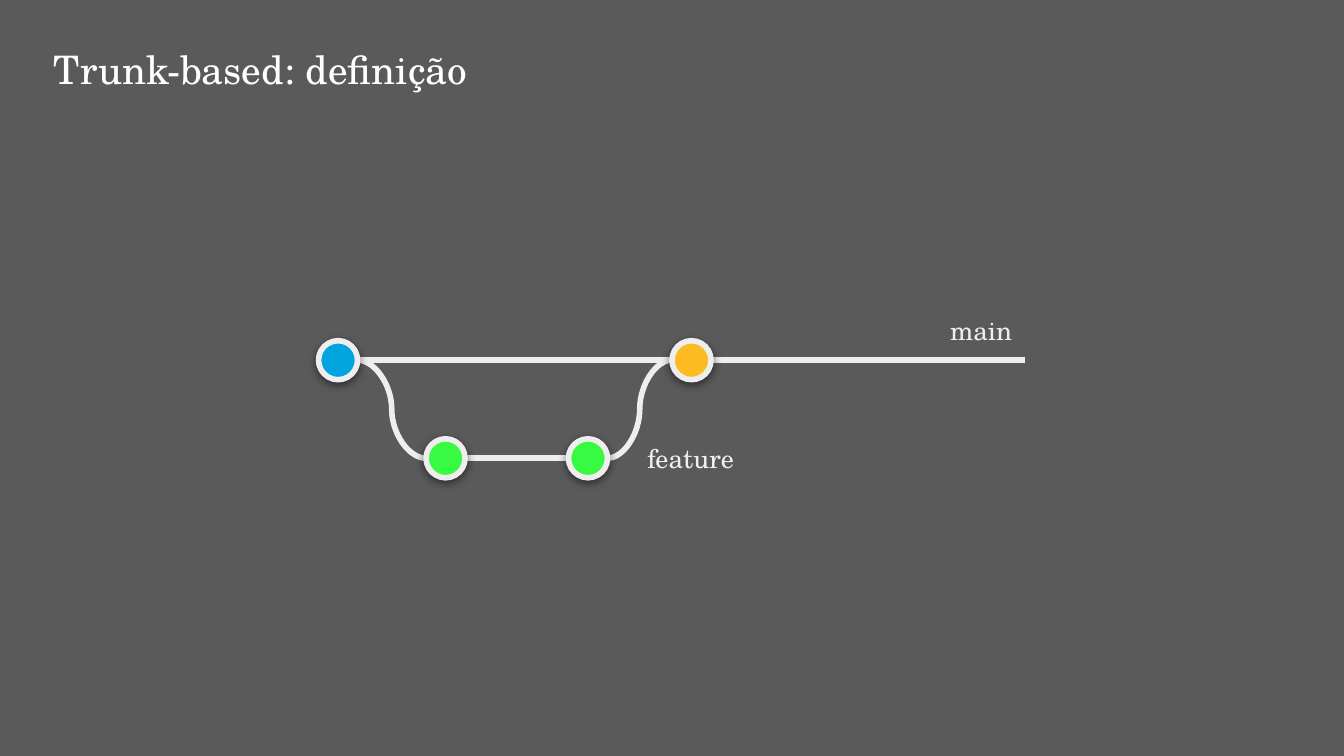
from lxml.etree import SubElement
from pptx import Presentation
from pptx.dml.color import RGBColor
from pptx.enum.shapes import MSO_CONNECTOR as LINK, MSO_SHAPE
from pptx.enum.text import MSO_AUTO_SIZE as FIT, PP_ALIGN as ALIGN
from pptx.oxml.ns import qn
from pptx.util import Inches, Pt

FONT = "TeX Gyre Schola"
BACKGROUND, WHITE, PALE = "5A5A5A", "FFFFFF", "EEEEEE"
BLUE, GREEN, ORANGE = "00A5DF", "39FA42", "FBBB21"
STROKE = 3
COMMIT_SIZE = 0.29
MAIN_Y, FEATURE_Y = 2.68, 3.41
MAIN_END = 7.63

COMMITS = {
    "start": (2.37, MAIN_Y, BLUE),
    "first": (3.17, FEATURE_Y, GREEN),
    "second": (4.23, FEATURE_Y, GREEN),
    "merge": (5, MAIN_Y, ORANGE),
}
BRANCHES = [
    ("start", "first", LINK.CURVE),
    ("first", "second", LINK.STRAIGHT),
    ("second", "merge", LINK.CURVE),
]
LABELS = [
    ("Trunk-based: definição", (0.3, 0.24, 5.74, 0.56), dict(size=21, color=WHITE)),
    ("main", (6.61, 2.24, 1.02, 0.44), dict(align=ALIGN.RIGHT)),
    ("feature", (3.77, 3.19, 1.79, 0.44), dict(align=ALIGN.RIGHT)),
]


def rgb(color):
    return RGBColor.from_string(color)


def add_text(slide, text, place, size=14, color=PALE, align=ALIGN.LEFT):
    box = slide.shapes.add_textbox(*map(Inches, place))
    frame = box.text_frame
    frame.word_wrap = True
    frame.auto_size = FIT.SHAPE_TO_FIT_TEXT
    frame.margin_left = frame.margin_right = Inches(0.1)
    frame.margin_top = frame.margin_bottom = Inches(0.1)
    paragraph = frame.paragraphs[0]
    paragraph.alignment = align
    run = paragraph.add_run()
    run.text = text
    run.font.name = FONT
    run.font.size = Pt(size)
    run.font.color.rgb = rgb(color)


def set_stroke(shape):
    shape.line.color.rgb = rgb(PALE)
    shape.line.width = Pt(STROKE)


def add_branch(slide, kind, begin, end):
    branch = slide.shapes.add_connector(kind, *map(Inches, (*begin, *end)))
    set_stroke(branch)
    SubElement(branch.element.spPr, qn("a:effectLst"))


def add_commit(slide, left, center_y, color):
    place = (left, center_y - COMMIT_SIZE / 2, COMMIT_SIZE, COMMIT_SIZE)
    commit = slide.shapes.add_shape(MSO_SHAPE.OVAL, *map(Inches, place))
    commit.fill.solid()
    commit.fill.fore_color.rgb = rgb(color)
    set_stroke(commit)
    commit.shadow.inherit = False
    effects = commit.element.spPr.find(qn("a:effectLst"))
    shadow = SubElement(effects, qn("a:outerShdw"), blurRad=str(Pt(4.5)),
                        dist=str(Pt(1.5)), dir="5400000", algn="bl", rotWithShape="0")
    shade = SubElement(shadow, qn("a:srgbClr"), val="000000")
    SubElement(shade, qn("a:alpha"), val="50000")


def main():
    deck = Presentation()
    deck.slide_width = Inches(10)
    deck.slide_height = deck.slide_width * 9 // 16
    slide = deck.slides.add_slide(deck.slide_layouts[6])
    slide.background.fill.solid()
    slide.background.fill.fore_color.rgb = rgb(BACKGROUND)

    main_start = COMMITS["start"][0] + COMMIT_SIZE
    add_branch(slide, LINK.CURVE, (main_start, MAIN_Y), (MAIN_END, MAIN_Y))
    for source, target, kind in BRANCHES:
        source_x, source_y, _ = COMMITS[source]
        target_x, target_y, _ = COMMITS[target]
        add_branch(slide, kind, (source_x + COMMIT_SIZE, source_y), (target_x, target_y))
    for commit in COMMITS.values():
        add_commit(slide, *commit)
    for text, place, style in LABELS:
        add_text(slide, text, place, **style)

    deck.save("out.pptx")


if __name__ == "__main__":
    main()
